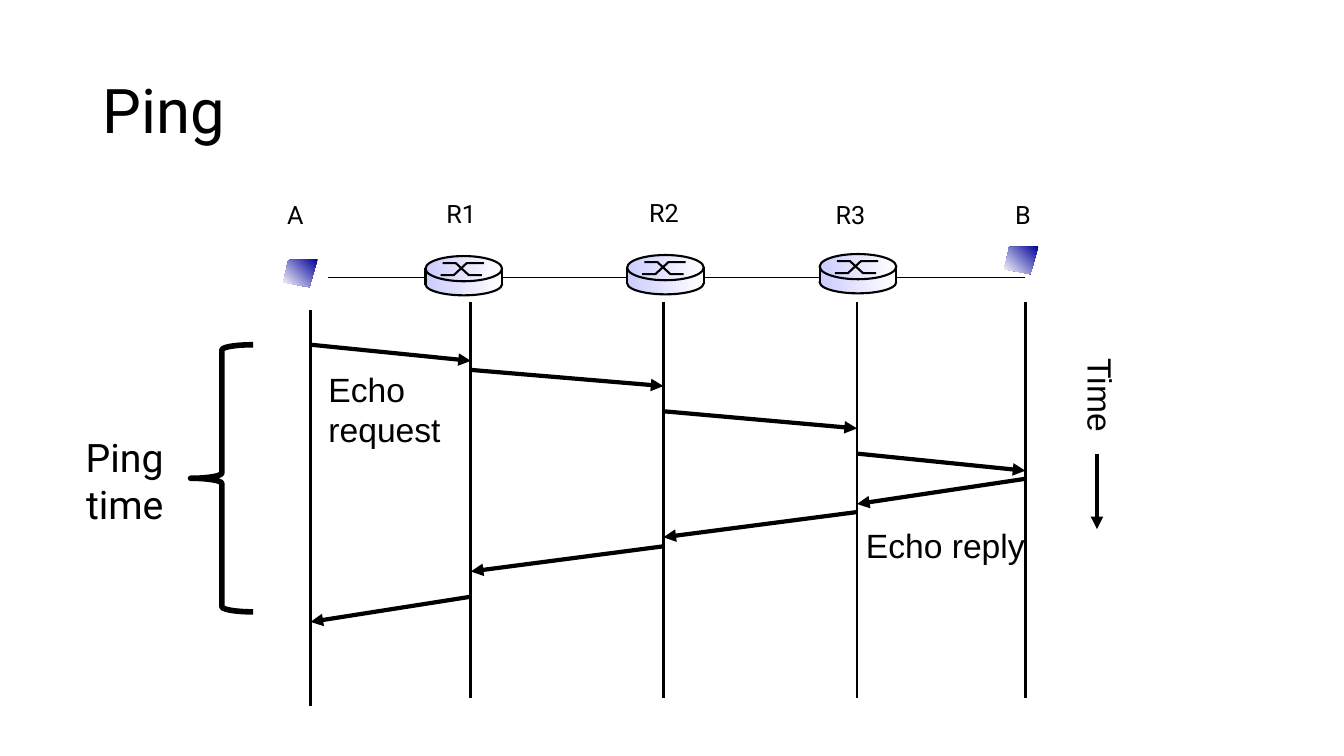
from dataclasses import dataclass

import pptx
import pptx.dml.color
import pptx.enum.shapes
import pptx.enum.text
import pptx.oxml.ns
import pptx.util
from lxml import etree

Inches = pptx.util.Inches
Pt = pptx.util.Pt
Shape = pptx.enum.shapes.MSO_SHAPE
Align = pptx.enum.text.PP_ALIGN
Anchor = pptx.enum.text.MSO_ANCHOR


@dataclass(frozen=True)
class Theme:
    ink: str = "000000"
    router: tuple = ("CCCCFF", "FFFFFF")
    host: tuple = ("000099", "FFFFFF")
    plain: str = "Arial"
    display: str = "Roboto"
    title: int = 44
    span: int = 28
    message: int = 24
    node: int = 18


THEME = Theme()


def rgb(value):
    return pptx.dml.color.RGBColor.from_string(value)


def add_text(shapes, text, left, top, width, height, *, size, font=THEME.plain,
             wrap=True, align=Align.LEFT, anchor=Anchor.TOP, spacing=None, rotation=0):
    box = shapes.add_textbox(Inches(left), Inches(top), Inches(width), Inches(height))
    box.rotation = rotation
    frame = box.text_frame
    frame.word_wrap = wrap
    frame.vertical_anchor = anchor
    frame.text = text
    for paragraph in frame.paragraphs:
        paragraph.alignment = align
        paragraph.line_spacing = spacing
        paragraph.font.size = Pt(size)
        paragraph.font.name = font
        paragraph.font.color.rgb = rgb(THEME.ink)


def ink_line(line, weight):
    line.color.rgb = rgb(THEME.ink)
    line.width = Pt(weight)


def fade(shape, colours, angle):
    shape.fill.gradient()
    shape.fill.gradient_angle = angle
    for stop, colour, position in zip(shape.fill.gradient_stops, colours, (0, 1)):
        stop.color.rgb = rgb(colour)
        stop.position = position


def finish(shape, weight=None, colours=None, angle=0):
    shape.shadow.inherit = False
    if colours:
        fade(shape, colours, angle)
    else:
        shape.fill.background()
    if weight:
        ink_line(shape.line, weight)
    else:
        shape.line.fill.background()


def add_preset(shapes, kind, left, top, width, height, **style):
    shape = shapes.add_shape(kind, Inches(left), Inches(top), Inches(width), Inches(height))
    finish(shape, **style)


def add_outline(shapes, points, close=False, **style):
    corners = [(Inches(x), Inches(y)) for x, y in points]
    builder = shapes.build_freeform(*corners[0])
    builder.add_line_segments(corners[1:], close=close)
    finish(builder.convert_to_shape(), **style)


def add_line(shapes, start, end, weight, arrow=False):
    line = shapes.add_connector(pptx.enum.shapes.MSO_CONNECTOR.STRAIGHT,
                                *(Inches(value) for value in (*start, *end)))
    ink_line(line.line, weight)
    qn = pptx.oxml.ns.qn
    if arrow:
        etree.SubElement(line.line._get_or_add_ln(), qn("a:tailEnd"), type="triangle")
    etree.SubElement(line._element.spPr, qn("a:effectLst"))


def add_router(slide, left, top):
    parts = slide.shapes.add_group_shape().shapes
    width = 0.76
    for kind, drop, height, weight in (
        (Shape.OVAL, 0.17, 0.22, 1.5),
        (Shape.RECTANGLE, 0.15, 0.13, None),
        (Shape.OVAL, 0, 0.25, 1.5),
    ):
        add_preset(parts, kind, left, top + drop, width, height,
                   weight=weight, colours=THEME.router)
    high, low = top + 0.07, top + 0.19
    for steps, first, last in (
        ((0.15, 0.28, 0.41, 0.58), low, high),
        ((0.17, 0.30, 0.43, 0.56), high, low),
    ):
        heights = (first, first, last, last)
        add_outline(parts, [(left + x, y) for x, y in zip(steps, heights)], weight=1.5)
    for x in (left, left + width):
        add_line(parts, (x, top + 0.12), (x, top + 0.29), 1.5)


def add_host(slide, left, top):
    corners = ((0.34, 0), (0.05, 0.01), (0, 0.23), (0.26, 0.28))
    add_outline(slide.shapes, [(left + x, top + y) for x, y in corners],
                close=True, colours=THEME.host, angle=225)


def main():
    deck = pptx.Presentation()
    deck.slide_width, deck.slide_height = Inches(13.33), Inches(7.5)
    slide = deck.slides.add_slide(deck.slide_layouts[6])
    shapes = slide.shapes

    add_text(shapes, "Ping", 0.92, 0.4, 11.5, 1.45, size=THEME.title,
             font=THEME.display, anchor=Anchor.MIDDLE, spacing=0.9)
    add_line(shapes, (3.25, 2.75), (10.17, 2.75), 1)

    lifelines = {"A": 3.08, "R1": 4.67, "R2": 6.58, "R3": 8.5, "B": 10.17}
    for node, x in lifelines.items():
        top = 3.08 if node == "A" else 3
        add_line(shapes, (x, top), (x, top + 3.92), 2)

    for sender, receiver, sent, received in (
        ("A", "R1", 3.42, 3.58),
        ("R1", "R2", 3.67, 3.83),
        ("R2", "R3", 4.08, 4.25),
        ("R3", "B", 4.5, 4.67),
        ("B", "R3", 4.75, 5),
        ("R3", "R2", 5.08, 5.33),
        ("R2", "R1", 5.42, 5.67),
        ("R1", "A", 5.92, 6.17),
    ):
        add_line(shapes, (lifelines[sender], sent), (lifelines[receiver], received),
                 3, arrow=True)

    add_text(shapes, "Time", 10.45, 3.68, 0.94, 0.5, size=THEME.message,
             wrap=False, rotation=90)
    add_line(shapes, (10.88, 4.5), (10.88, 5.25), 3, arrow=True)
    add_text(shapes, "Echo\nrequest", 3.16, 3.61, 1.33, 0.91,
             size=THEME.message, wrap=False)
    add_text(shapes, "Echo reply", 8.49, 5.16, 1.79, 0.5,
             size=THEME.message, wrap=False)

    for left, top in ((4.22, 2.54), (6.22, 2.53), (8.13, 2.52)):
        add_router(slide, left, top)
    for left, top in ((2.81, 2.57), (9.96, 2.44)):
        add_host(slide, left, top)
    for node, left, top, width in (
        ("A", 2.75, 1.93, 0.5),
        ("B", 9.97, 1.93, 0.5),
        ("R1", 4.33, 1.92, 0.64),
        ("R2", 6.34, 1.91, 0.64),
        ("R3", 8.19, 1.93, 0.64),
    ):
        add_text(shapes, node, left, top, width, 0.4, size=THEME.node, font=THEME.display)

    add_preset(shapes, Shape.LEFT_BRACE, 1.89, 3.42, 0.62, 2.65, weight=4)
    add_text(shapes, "Ping time", 0.28, 4.25, 1.44, 1.04, size=THEME.span,
             font=THEME.display, align=Align.RIGHT)
    deck.save("out.pptx")


if __name__ == "__main__":
    main()
